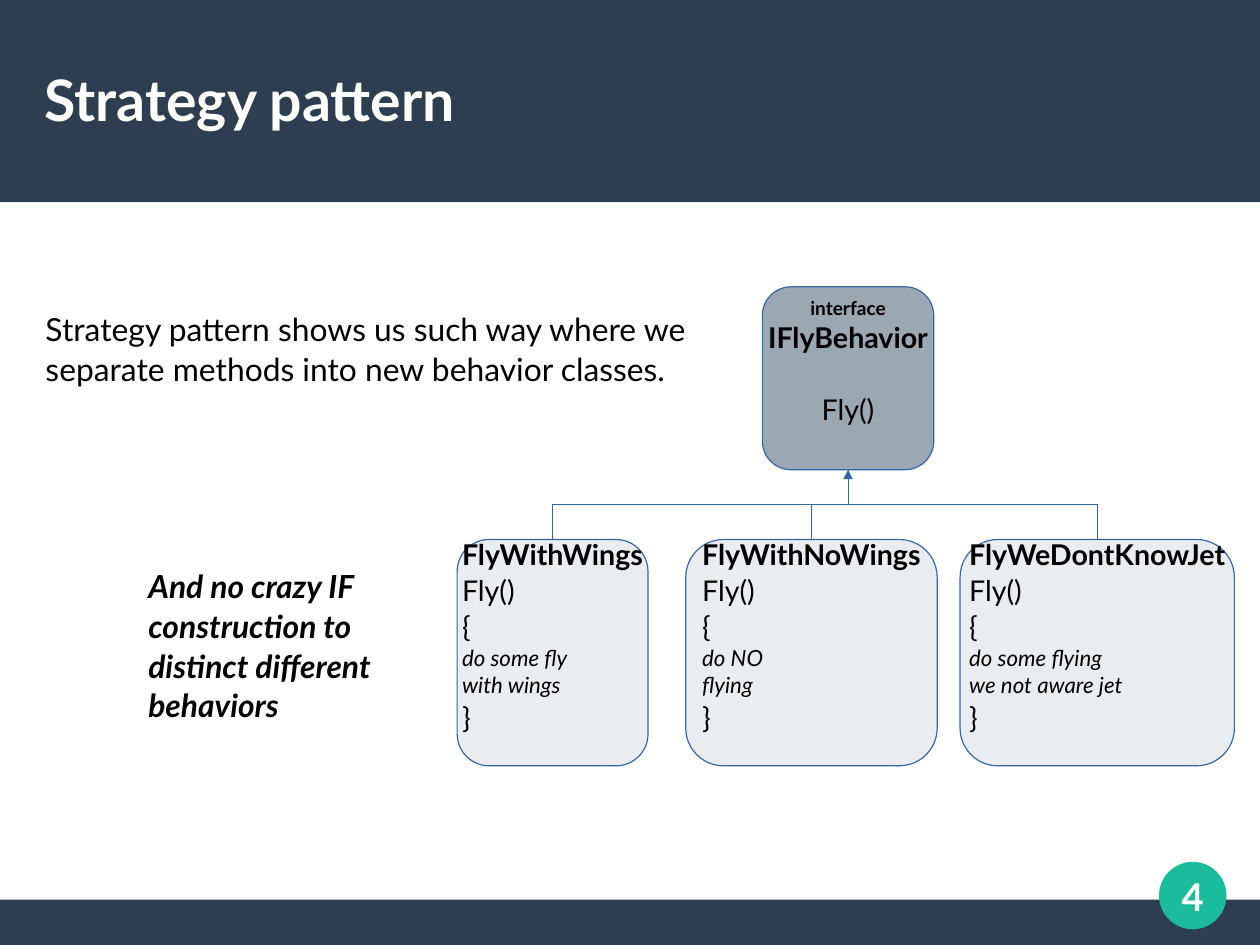
"""Build the Strategy pattern slide with its class diagram."""
from lxml.etree import SubElement
from pptx import Presentation
from pptx.dml.color import RGBColor
from pptx.enum.shapes import MSO_CONNECTOR, MSO_SHAPE
from pptx.enum.text import MSO_ANCHOR, PP_ALIGN
from pptx.oxml.ns import qn
from pptx.util import Inches, Pt

COLORS = {"navy": "2C3E50", "green": "1ABC9C", "slate": "355269",
          "line": "3465A4", "white": "FFFFFF", "black": "000000"}
WIDTH, HEIGHT = 28 / 2.54, 21 / 2.54


def write(s, lines, color="black", margins=(0.1, 0.05, 0.1, 0.05),
          anchor=MSO_ANCHOR.MIDDLE, wrap=True):
    """Fill a shape with (text, size, bold, italic, align, space before) lines."""
    tf = s.text_frame
    tf.word_wrap = wrap
    tf.vertical_anchor = anchor
    tf.margin_left, tf.margin_top, tf.margin_right, tf.margin_bottom = map(Inches, margins)
    for i, (text, size, bold, italic, align, before) in enumerate(lines):
        p = tf.add_paragraph() if i else tf.paragraphs[0]
        p.alignment = align
        p.line_spacing = 1.04
        if before:
            p.space_before = Pt(before)
        r = p.add_run()
        r.text = text
        r.font.name = "Lato"
        r.font.size = Pt(size)
        r.font.bold = bold
        r.font.italic = italic
        r.font.color.rgb = RGBColor.from_string(COLORS[color])


def add_box(kind, x, y, w, h, fill, opacity=None):
    """Add a filled shape; an opacity in percent also gives it an outline."""
    s = sp.add_shape(kind, Inches(x), Inches(y), Inches(w), Inches(h))
    s.shadow.inherit = False
    s.fill.solid()
    s.fill.fore_color.rgb = RGBColor.from_string(COLORS[fill])
    if opacity is None:
        s.line.fill.background()
    else:
        s.line.color.rgb = RGBColor.from_string(COLORS["line"])
        s.line.width = Pt(0.75)
        color = s.element.spPr.find(qn("a:solidFill"))[0]
        SubElement(color, qn("a:alpha")).set("val", str(opacity * 1000))
    return s


prs = Presentation()
prs.slide_width, prs.slide_height = Inches(WIDTH), Inches(HEIGHT)
slide = prs.slides.add_slide(prs.slide_layouts[6])
sp = slide.shapes
LEFT, CENTER = PP_ALIGN.LEFT, PP_ALIGN.CENTER

add_box(MSO_SHAPE.RECTANGLE, 0, 7.87, WIDTH, HEIGHT - 7.87, "navy")
add_box(MSO_SHAPE.RECTANGLE, 0, 0, WIDTH, 1.77, "navy")
badge = add_box(MSO_SHAPE.OVAL, 10.14, 7.54, 0.59, 0.59, "green")
write(badge, [("4", 24, True, False, CENTER, 0)], "white", (0, 0, 0, 0), wrap=False)

title = sp.add_textbox(Inches(0.39), Inches(0.33), Inches(10.24), Inches(1.05))
write(title, [("Strategy pattern", 36, True, False, LEFT, 0)], "white", (0, 0, 0, 0))

captions = [
    (0.3, 2.65, 6.2, 1.15, False, "Strategy pattern shows us such way where we "
                                  "separate methods into new behavior classes."),
    (1.2, 4.9, 2.4, 1.5, True, "And no crazy IF construction to distinct different behaviors"),
]
for x, y, w, h, strong, text in captions:
    s = sp.add_textbox(Inches(x), Inches(y), Inches(w), Inches(h))
    write(s, [(text, 20, strong, strong, LEFT, 0)], anchor=MSO_ANCHOR.TOP)

interface = add_box(MSO_SHAPE.ROUNDED_RECTANGLE, 6.67, 2.51, 1.5, 1.6, "slate", 50)
write(interface, [
    ("interface", 12, True, False, CENTER, 0),
    ("IFlyBehavior", 18, True, False, CENTER, 0),
    ("Fly()", 18, False, False, CENTER, 22.5),
], margins=(0.1, 0.05, 0.1, 0.36), wrap=False)

classes = [
    (4, 1.67, "FlyWithWings", "do some fly", "with wings"),
    (6, 2.2, "FlyWithNoWings", "do NO", "flying"),
    (8.4, 2.4, "FlyWeDontKnowJet", "do some flying", "we not aware jet"),
]
root_x, root_y, class_y = 7.42, 4.11, 4.72
half_drop, mid_y = (class_y - root_y) / 2, (class_y + root_y) / 2
for i, (x, w, name, *body) in enumerate(classes):
    s = add_box(MSO_SHAPE.ROUNDED_RECTANGLE, x, class_y, w, 1.98, "slate", 10)
    write(s, [
        (name, 18, True, False, CENTER, 0),
        ("Fly()", 18, False, False, LEFT, 0),
        ("{", 18, False, False, LEFT, 0),
        *[(text, 14, False, True, LEFT, 0) for text in body],
        ("}", 18, False, False, LEFT, 0),
    ], margins=(0.1, 0, 0.1, 0.31), wrap=False)

    class_x = x + w / 2
    mid_x, half_span = (class_x + root_x) / 2, abs(class_x - root_x) / 2
    side = 1 if class_x < root_x else -1
    c = sp.add_connector(MSO_CONNECTOR.ELBOW,
                         Inches(mid_x - side * half_drop), Inches(mid_y - half_span),
                         Inches(mid_x + side * half_drop), Inches(mid_y + half_span))
    c.line.color.rgb = RGBColor.from_string(COLORS["line"])
    c.line.width = Pt(0.75)
    spPr = c.element.spPr
    spPr.find(qn("a:xfrm")).set("rot", str(side * 90 % 360 * 60000))
    if i == 0:
        SubElement(spPr.find(qn("a:ln")), qn("a:headEnd")).set("type", "triangle")
    SubElement(spPr, qn("a:effectLst"))

prs.save("out.pptx")
